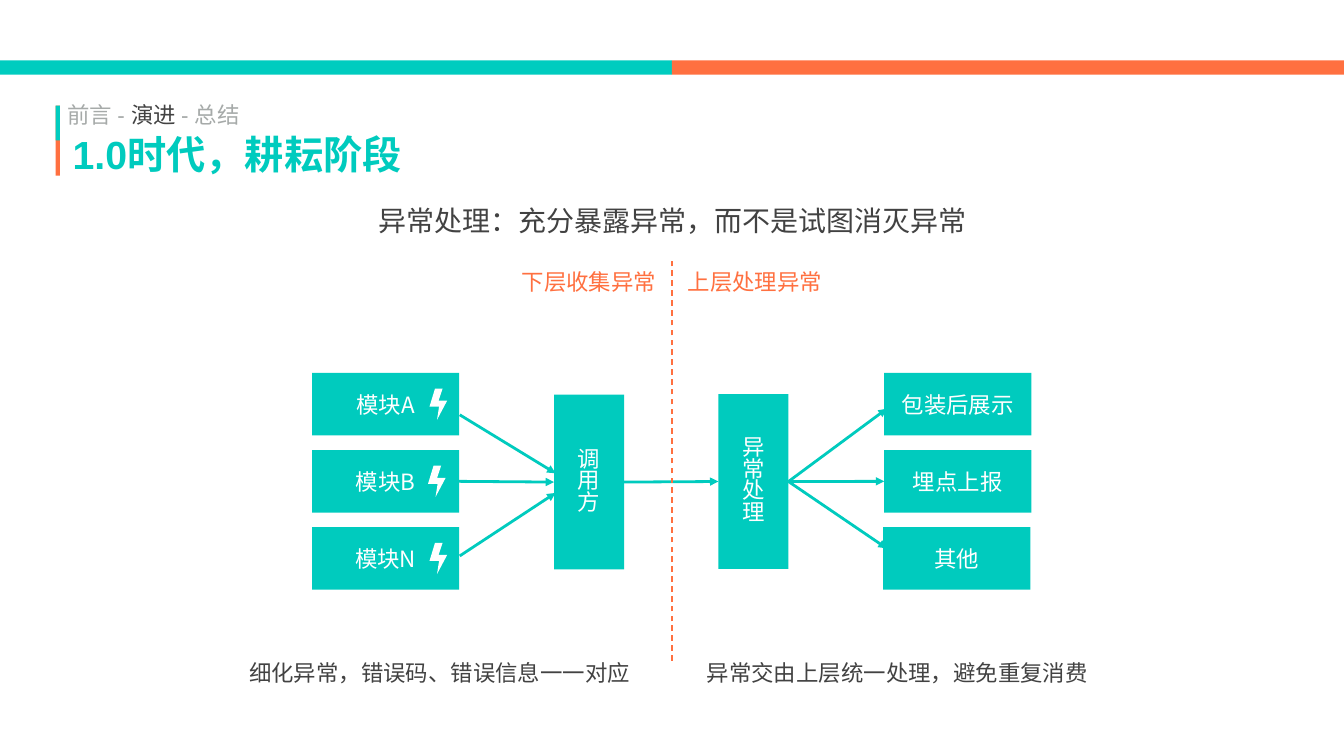
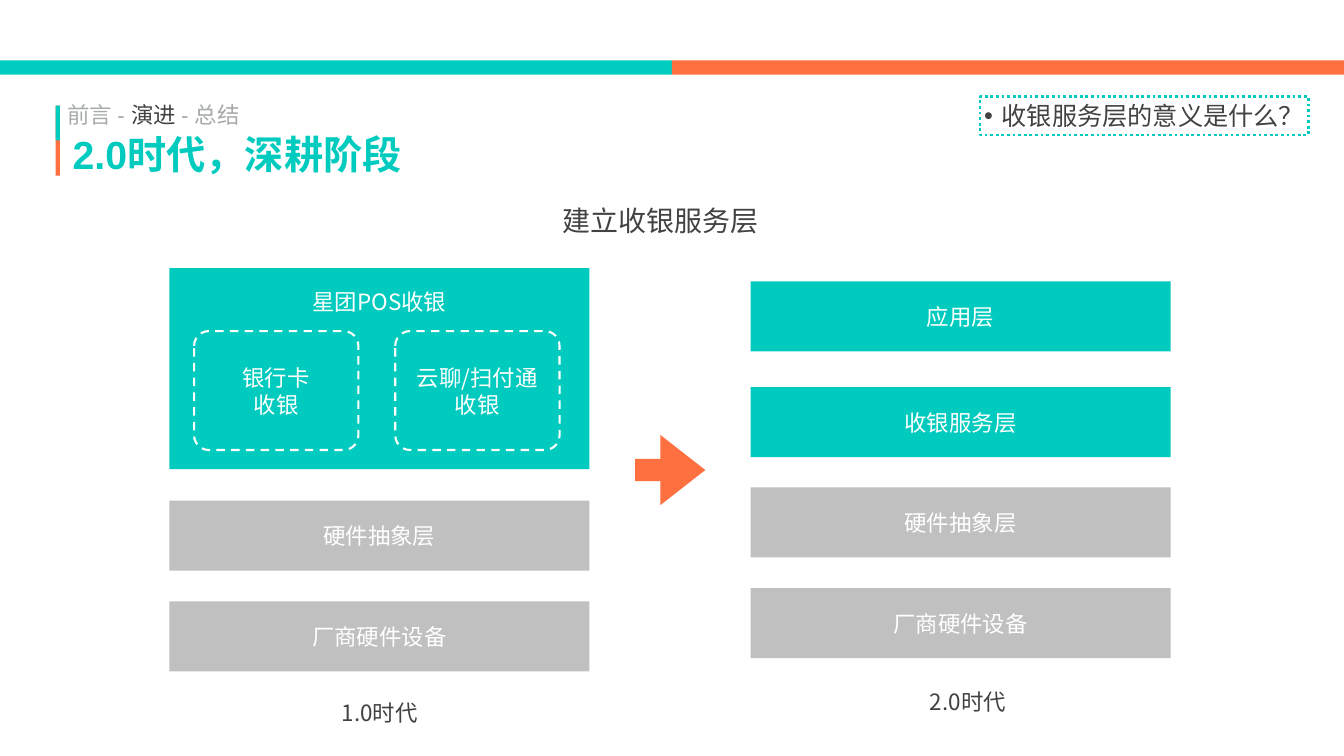
from dataclasses import dataclass

from lxml import etree
from pptx import Presentation
from pptx.dml.color import RGBColor
from pptx.enum.dml import MSO_LINE
from pptx.enum.shapes import MSO_CONNECTOR, MSO_SHAPE
from pptx.enum.text import MSO_ANCHOR, MSO_AUTO_SIZE, PP_ALIGN
from pptx.oxml.ns import qn
from pptx.util import Pt

RECT, ROUND, ARROW = MSO_SHAPE.RECTANGLE, MSO_SHAPE.ROUNDED_RECTANGLE, MSO_SHAPE.RIGHT_ARROW
STRAIGHT = MSO_CONNECTOR.STRAIGHT
DASH, SYS_DOT = MSO_LINE.DASH, MSO_LINE.ROUND_DOT
LEFT, CENTER = PP_ALIGN.LEFT, PP_ALIGN.CENTER
TOP, MIDDLE = MSO_ANCHOR.TOP, MSO_ANCHOR.MIDDLE
GROW, FIXED = MSO_AUTO_SIZE.SHAPE_TO_FIT_TEXT, MSO_AUTO_SIZE.NONE

BAND_TEAL, TEAL, ORANGE = "00CCBF", "00CBBE", "FF7040"
SILVER, MUTED, DARK, WHITE = "C0C0C0", "A6AAA9", "424242", "FFFFFF"
SANS, CJK = "Arial", "Noto Sans CJK SC"
WIDTH, HEIGHT = 1919.52, 1080
INSET, SLACK = 5.76, 8
RIGHT_SIDE, LEFT_SIDE = 3, 1

MODULE_LEFT, OUTCOME_LEFT, ROW_TOP, ROW_PITCH = 445.7, 1262.9, 532.8, 110.2
NODE_W, NODE_H = 210.2, 89.3
PILLAR_W, PILLAR_H = 100.1, 249.8
BOLT = [(7.9, 0), (0, 25.9), (13.7, 25.9), (10.8, 44.6), (25.2, 17.3), (13, 17.3), (18.7, 0)]
LAYER_W, LAYER_H = 599.8, 100.1
OLD_LEFT, NEW_LEFT = 241.9, 1072.1


@dataclass(frozen=True)
class Box:
    left: float
    top: float
    width: float
    height: float
    lines: tuple[str, ...] = ()
    fill: str = TEAL
    spacing: float = 1.0


@dataclass(frozen=True)
class Label:
    left: float
    top: float
    width: float
    height: float
    lines: tuple[str, ...]
    color: str = DARK
    size: float = 32
    align: PP_ALIGN = CENTER
    wrap: bool = False


def rgb(value: str) -> RGBColor:
    return RGBColor.from_string(value)


def place(sp, left: float, top: float, width: float, height: float) -> None:
    sp.left, sp.top, sp.width, sp.height = Pt(left), Pt(top), Pt(width), Pt(height)


def frame_text(sp, anchor=MIDDLE, wrap: bool = True, auto=FIXED):
    tf = sp.text_frame
    tf.word_wrap, tf.auto_size, tf.vertical_anchor = wrap, auto, anchor
    tf.margin_left = tf.margin_right = tf.margin_top = tf.margin_bottom = Pt(INSET)
    return tf


def add_run(p, text: str, size: float, color: str, font: str = CJK, bold: bool = False) -> None:
    r = p.add_run()
    r.text = text
    r.font.size, r.font.name, r.font.bold = Pt(size), font, bold
    r.font.color.rgb = rgb(color)
    etree.SubElement(r.font._element, qn("a:ea")).set("typeface", CJK)


def add_lines(tf, lines: tuple[str, ...], size: float, color: str, align=CENTER,
              spacing: float = 1.0) -> None:
    for i, text in enumerate(lines):
        p = tf.add_paragraph() if i else tf.paragraphs[0]
        p.alignment, p.line_spacing = align, spacing
        add_run(p, text, size, color)


def add_panel(s, kind, left: float, top: float, width: float, height: float, fill: str):
    sp = s.shapes.add_shape(kind, Pt(left), Pt(top), Pt(width), Pt(height))
    sp.shadow.inherit = False
    sp.fill.solid()
    sp.fill.fore_color.rgb = rgb(fill)
    sp.line.fill.background()
    return sp


def style_line(line, color: str, width: float, dash=None) -> None:
    line.color.rgb = rgb(color)
    line.width = Pt(width)
    if dash is not None:
        line.dash_style = dash


def add_box(s, box: Box):
    sp = add_panel(s, RECT, box.left, box.top, box.width, box.height, box.fill)
    add_lines(frame_text(sp), box.lines, 32, WHITE, spacing=box.spacing)
    return sp


def add_label(s, label: Label) -> None:
    slack = 0 if label.wrap else SLACK
    shift = slack / 2 if label.align == CENTER else 0
    sp = s.shapes.add_textbox(Pt(label.left - shift), Pt(label.top),
                              Pt(label.width + slack), Pt(label.height))
    tf = frame_text(sp, wrap=label.wrap, auto=FIXED if label.wrap else GROW)
    add_lines(tf, label.lines, label.size, label.color, label.align)


def add_line(s, start: tuple[float, float], end: tuple[float, float], color: str, width: float,
             dash=None, arrow: bool = False, source=None, target=None) -> None:
    cx = s.shapes.add_connector(STRAIGHT, Pt(start[0]), Pt(start[1]), Pt(end[0]), Pt(end[1]))
    if source is not None:
        cx.begin_connect(source, RIGHT_SIDE)
    if target is not None:
        cx.end_connect(target, LEFT_SIDE)
    style_line(cx.line, color, width, dash)
    if arrow:
        etree.SubElement(cx.line._get_or_add_ln(), qn("a:tailEnd")).set("type", "triangle")
    etree.SubElement(cx.element.spPr, qn("a:effectLst"))


def add_bolt(s, left: float, top: float) -> None:
    points = [(Pt(left + x), Pt(top + y)) for x, y in BOLT]
    builder = s.shapes.build_freeform(*points[0])
    builder.add_line_segments(points[1:], close=True)
    sp = builder.convert_to_shape()
    sp.shadow.inherit = False
    sp.fill.solid()
    sp.fill.fore_color.rgb = rgb(WHITE)
    sp.line.fill.background()


def add_master_bands(prs, s) -> None:
    tree = prs.slide_master.shapes.element
    for i, color in enumerate((BAND_TEAL, ORANGE)):
        sp = add_panel(s, RECT, i * WIDTH / 2, 86.4, WIDTH / 2, 20.2, color)
        sp.name = f"Band {i + 1}"
        sp.element.nvSpPr.cNvPr.set("id", str(101 + i))
        tree.insert(2 + i, sp.element)


def add_header(s, title: str) -> None:
    sp = s.shapes.add_textbox(Pt(90.7), Pt(138.2), Pt(291.6), Pt(49.7))
    p = frame_text(sp, TOP, False, GROW).paragraphs[0]
    for text, color in (("前言 - ", MUTED), ("演进 ", DARK), ("- 总结", MUTED)):
        add_run(p, text, 32, color, SANS)

    sp = s.shapes.title
    place(sp, 97.9, 180.7, 494.6 + SLACK, 78.5)
    p = frame_text(sp, TOP, False, GROW).paragraphs[0]
    p.alignment = LEFT
    add_run(p, title, 56, TEAL, SANS, True)

    for height, color in ((100.1, ORANGE), (49.7, BAND_TEAL)):
        add_panel(s, RECT, 79.6, 150.8, 5.8, height, color)


def build_exceptions(s) -> None:
    add_header(s, "1.0时代，耕耘阶段")
    modules = []
    for i, (name, bolt_left) in enumerate((("模块A", 613.4), ("模块B", 611.3), ("模块N", 613.4))):
        top = ROW_TOP + i * ROW_PITCH
        modules.append(add_box(s, Box(MODULE_LEFT, top, NODE_W, NODE_H, (name,))))
        add_bolt(s, bolt_left, top + 22.3)

    caller = add_box(s, Box(791.3, 563.8, PILLAR_W, PILLAR_H, tuple("调用方"), spacing=0.8))
    handler = add_box(s, Box(1026, 563, PILLAR_W, PILLAR_H, tuple("异常处理"), spacing=0.8))
    outcomes = [
        add_box(s, Box(left, ROW_TOP + i * ROW_PITCH, NODE_W, NODE_H, (name,)))
        for i, (name, left) in enumerate((("包装后展示", OUTCOME_LEFT), ("埋点上报", OUTCOME_LEFT),
                                          ("其他", 1261.4)))
    ]

    arrows = [
        ((656.6, 592.6), (793.4, 676.1), None, None),
        ((656.6, 686.2), (793.4, 686.2), modules[1], caller),
        ((656.6, 794.2), (793.4, 704.2), None, None),
        ((891.4, 683.3), (1028.2, 683.3), caller, handler),
        ((1124.6, 684), (1266.5, 583.9), handler, None),
        ((1124.6, 684), (1265, 684), handler, outcomes[1]),
        ((1124.6, 684), (1266.5, 783.4), handler, None),
    ]
    for start, end, source, target in arrows:
        add_line(s, start, end, TEAL, 4, arrow=True, source=source, target=target)
    add_line(s, (959.76, 943.9), (959.76, 369.4), ORANGE, 2, DASH)

    for label in (
        Label(739.4, 378, 203.8, 49.7, ("下层收集异常",), ORANGE),
        Label(976.3, 378, 203.8, 49.7, ("上层处理异常",), ORANGE),
        Label(535, 285.8, 850.3, 59, ("异常处理：充分暴露异常，而不是试图消灭异常",), size=40),
        Label(349.9, 935.3, 555.8, 49.7, ("细化异常，错误码、错误信息一一对应",), align=LEFT),
        Label(1003.7, 935.3, 555.8, 49.7, ("异常交由上层统一处理，避免重复消费",), align=LEFT),
    ):
        add_label(s, label)


def add_question(s, text: str) -> None:
    sp = s.placeholders[1]
    place(sp, 1399.7, 138.2, 468.7, 54.7)
    style_line(sp.line, TEAL, 4, SYS_DOT)
    tf = frame_text(sp)
    tf.margin_right = 0
    p = tf.paragraphs[0]
    p.alignment, p.space_before = LEFT, Pt(0)
    ppr = p._p.get_or_add_pPr()
    ppr.set("marL", str(Pt(25.2)))
    ppr.set("indent", str(-Pt(25.2)))
    color = etree.SubElement(ppr, qn("a:buClr"))
    etree.SubElement(color, qn("a:srgbClr")).set("val", DARK)
    etree.SubElement(ppr, qn("a:buChar")).set("char", "•")
    add_run(p, text, 36, DARK)


def build_layers(s) -> None:
    add_header(s, "2.0时代，深耕阶段")
    arrow = add_panel(s, ARROW, 907.2, 621.4, 100.1, 100.1, ORANGE)
    arrow.adjustments[0], arrow.adjustments[1] = 0.32, 0.64
    add_question(s, "收银服务层的意义是什么？")

    add_box(s, Box(OLD_LEFT, 383, LAYER_W, 287.3))
    for left, top, name, fill in (
        (OLD_LEFT, 715, "硬件抽象层", SILVER),
        (OLD_LEFT, 859, "厂商硬件设备", SILVER),
        (NEW_LEFT, 401.8, "应用层", TEAL),
        (NEW_LEFT, 553, "收银服务层", TEAL),
        (NEW_LEFT, 696.2, "硬件抽象层", SILVER),
        (NEW_LEFT, 840.2, "厂商硬件设备", SILVER),
    ):
        add_box(s, Box(left, top, LAYER_W, LAYER_H, (name,), fill))

    for left in (277.2, 564.5):
        sp = add_panel(s, ROUND, left, 473, 234.7, 169.9, TEAL)
        sp.fill.background()
        sp.adjustments[0] = 0.124
        style_line(sp.line, WHITE, 3, DASH)

    for label in (
        Label(797.8, 285.8, 290.9, 59, ("建立收银服务层",), size=40),
        Label(433.4, 405.4, 216.7, 49.7, ("星团POS收银",), WHITE, wrap=True),
        Label(340.6, 514.1, 107.3, 87.8, ("银行卡", "收银"), WHITE),
        Label(582.5, 514.1, 198.7, 87.8, ("云聊/扫付通", "收银"), WHITE, wrap=True),
        Label(478.1, 993.6, 128.2, 49.7, ("1.0时代",)),
        Label(1318.3, 977, 128.2, 49.7, ("2.0时代",)),
    ):
        add_label(s, label)


def main() -> None:
    prs = Presentation()
    prs.slide_width, prs.slide_height = Pt(WIDTH), Pt(HEIGHT)
    title_only, title_and_body = prs.slide_layouts[5], prs.slide_layouts[1]
    s = prs.slides.add_slide(title_only)
    add_master_bands(prs, s)
    build_exceptions(s)
    build_layers(prs.slides.add_slide(title_and_body))
    prs.save("out.pptx")


if __name__ == "__main__":
    main()
